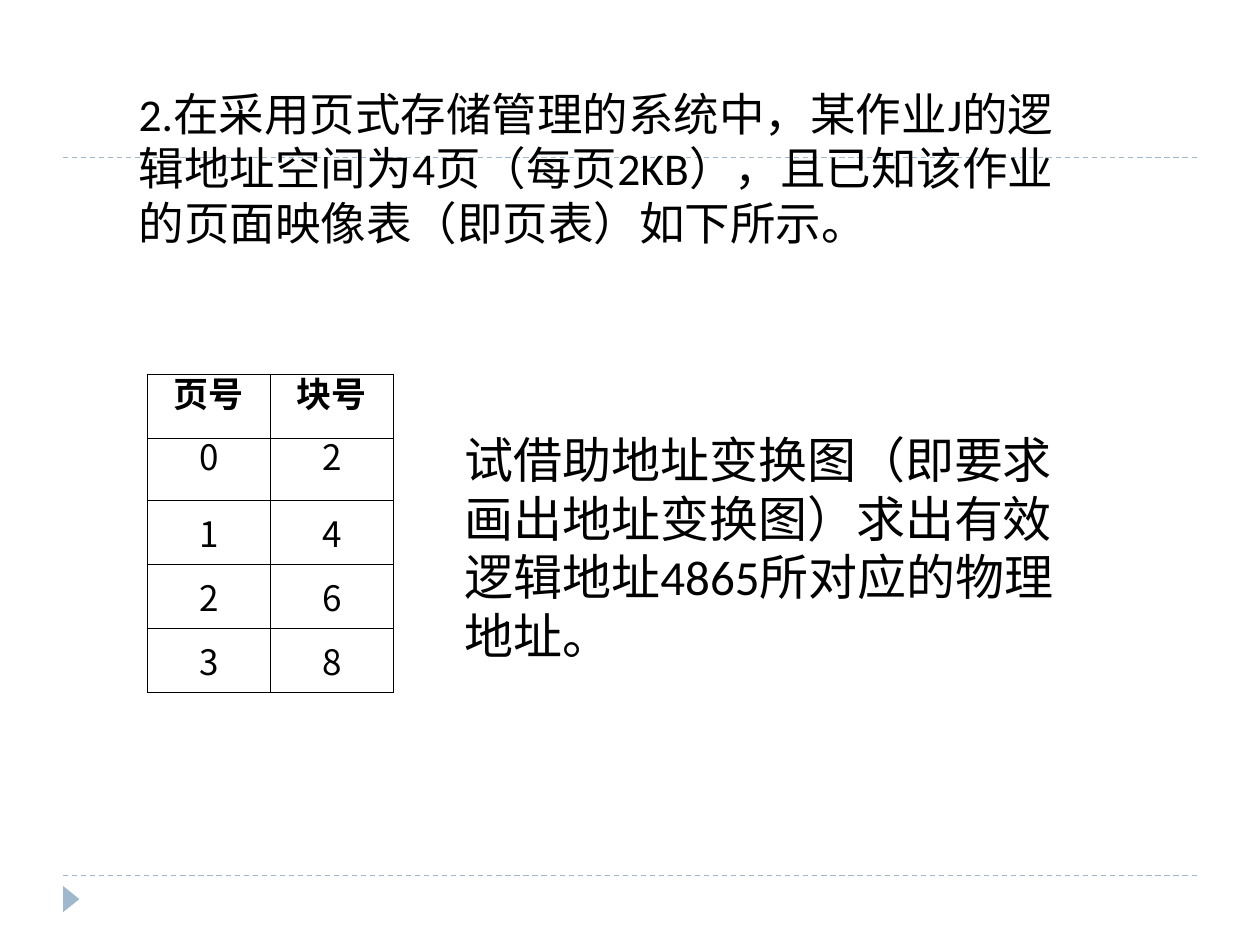
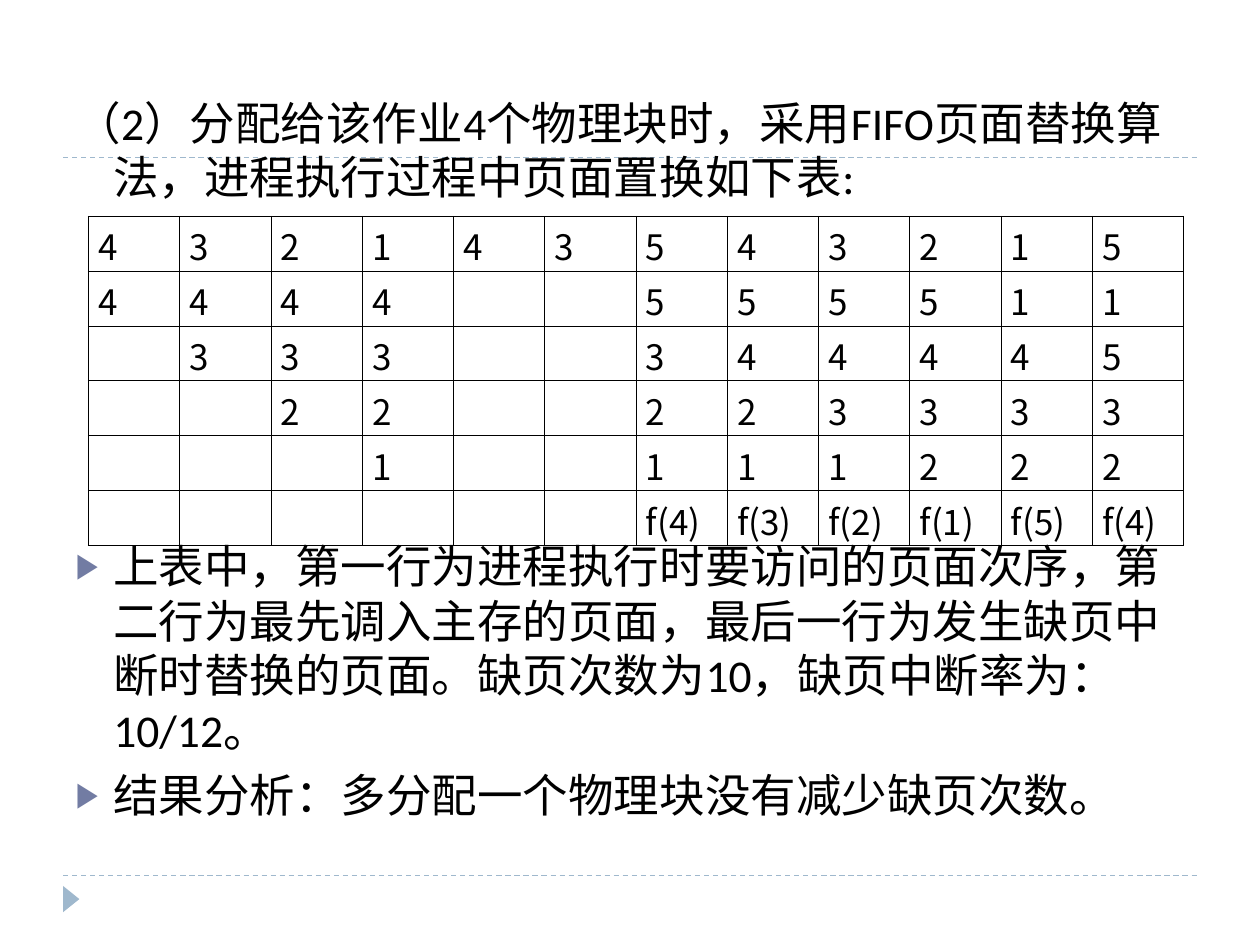
"""Build two slides on paged storage management and FIFO page replacement."""
from lxml.etree import SubElement
from pptx import Presentation
from pptx.dml.color import RGBColor
from pptx.enum.dml import MSO_LINE_DASH_STYLE as Dash
from pptx.enum.shapes import MSO_CONNECTOR as Connector, MSO_SHAPE as Shape
from pptx.enum.text import MSO_ANCHOR as Anchor, MSO_AUTO_SIZE as AutoSize, PP_ALIGN as Align
from pptx.oxml.ns import qn
from pptx.util import Cm, Pt

COLORS = {"text": "000000", "accent": "9FB8CD", "bullet": "727CA3", "paper": "FFFFFF"}
TEXT_FONT = "Calibri"
DIGIT_FONT = "Noto Sans CJK SC"
HANG = 0.76


def rgb(name):
    return RGBColor.from_string(COLORS[name])


def child(parent, tag, **attributes):
    return SubElement(parent, qn(tag), {key: str(value) for key, value in attributes.items()})


class Deck:
    """Hold the shared style and the current slide."""

    def __init__(self):
        self.deck = Presentation()
        self.deck.slide_width, self.deck.slide_height = Cm(25.4), Cm(19.05)
        self.slide = None

    def new_slide(self):
        self.slide = self.deck.slides.add_slide(self.deck.slide_layouts[1])
        background = self.slide.background.fill
        background.solid()
        background.fore_color.rgb = rgb("paper")
        title = self.slide.shapes.title.element
        title.getparent().remove(title)
        for y in (17.65, 3.18):
            self.rule(y)
        self.marker()

    def rule(self, y):
        rule = self.slide.shapes.add_connector(Connector.STRAIGHT, Cm(1.27), Cm(y), Cm(24.13), Cm(y))
        rule.line.color.rgb = rgb("accent")
        rule.line.width = Pt(0.75)
        rule.line.dash_style = Dash.DASH
        child(rule.element.spPr, "a:effectLst")

    def marker(self):
        marker = self.slide.shapes.add_shape(
            Shape.ISOSCELES_TRIANGLE, Cm(1.17), Cm(17.96), Cm(0.53), Cm(0.33))
        marker.rotation = 90
        marker.shadow.inherit = False
        marker.fill.solid()
        marker.fill.fore_color.rgb = rgb("accent")
        marker.line.fill.background()

    def run(self, paragraph, text, size, font=TEXT_FONT, bold=False):
        run = paragraph.add_run()
        run.text = text
        run.font.size, run.font.name, run.font.bold = Pt(size), font, bold
        run.font.color.rgb = rgb("text")
        child(run.font._element, "a:ea", typeface=font)

    def body(self, box, paragraphs):
        body = self.slide.placeholders[1]
        body.left, body.top, body.width, body.height = map(Cm, box)
        tree = body.element.getparent()
        tree.append(body.element)
        frame = body.text_frame
        frame.auto_size = AutoSize.NONE
        frame.vertical_anchor = Anchor.TOP
        for index, (text, indent, before, bulleted) in enumerate(paragraphs):
            paragraph = frame.add_paragraph() if index else frame.paragraphs[0]
            paragraph.space_before = Pt(before)
            properties = paragraph._p.get_or_add_pPr()
            properties.set("marL", str(Cm(HANG)))
            properties.set("indent", str(Cm(indent)))
            if bulleted:
                color = child(properties, "a:buClr")
                child(color, "a:srgbClr", val=COLORS["bullet"])
                child(properties, "a:buSzPct", val=76000)
                child(properties, "a:buChar", char="▶")
            else:
                child(properties, "a:buNone")
            self.run(paragraph, text, 26)

    def text(self, box, text, size):
        frame = self.slide.shapes.add_textbox(*map(Cm, box)).text_frame
        frame.word_wrap = True
        self.run(frame.paragraphs[0], text, size)

    def table(self, left, top, column_width, row_heights, rows, align, anchor,
              margins=(0.13, 0.13), header=False, tight_rows=0):
        columns = len(rows[0])
        table = self.slide.shapes.add_table(
            len(rows), columns, Cm(left), Cm(top),
            Cm(column_width * columns), Cm(sum(row_heights))).table
        table.first_row = table.horz_banding = False
        for column in table.columns:
            column.width = Cm(column_width)
        for r, (values, height) in enumerate(zip(rows, row_heights)):
            table.rows[r].height = Cm(height)
            for c, value in enumerate(values):
                cell = table.cell(r, c)
                self.borders(cell)
                cell.fill.background()
                cell.vertical_anchor = anchor
                cell.margin_left = cell.margin_right = Cm(0.2)
                cell.margin_top, cell.margin_bottom = map(Cm, margins)
                if not value:
                    continue
                paragraph = cell.text_frame.paragraphs[0]
                paragraph.alignment = align
                if r < tight_rows:
                    paragraph.line_spacing = Pt(13)
                heading = header and r == 0
                self.run(paragraph, value, 20, TEXT_FONT if heading else DIGIT_FONT, heading)

    def borders(self, cell):
        properties = cell._tc.get_or_add_tcPr()
        for side in "LRTB":
            line = child(properties, f"a:ln{side}", w=Pt(0.45))
            child(child(line, "a:solidFill"), "a:srgbClr", val=COLORS["text"])


def address_question(deck):
    deck.new_slide()
    deck.body((1.78, 1.6, 20.45, 3.96), [
        ("2.在采用页式存储管理的系统中，某作业J的逻辑地址空间为4页（每页2KB），"
         "且已知该作业的页面映像表（即页表）如下所示。", 0, 0, False)])
    page_table = [("页号", "块号"), ("0", "2"), ("1", "4"), ("2", "6"), ("3", "8")]
    deck.table(2.97, 7.54, 2.48, (1.29, 1.25, 1.29, 1.29, 1.29), page_table,
               Align.CENTER, Anchor.MIDDLE, header=True, tight_rows=2)
    deck.text((9.12, 8.53, 12.7, 5), "试借助地址变换图（即要求画出地址变换图）"
              "求出有效逻辑地址4865所对应的物理地址。", 28)


def fifo_answer(deck):
    deck.new_slide()
    deck.body((1.27, 1.78, 22.86, 15.24), [
        ("（2）分配给该作业4个物理块时，采用FIFO页面替换算法，"
         "进程执行过程中页面置换如下表:", -HANG, 0, False),
        ("上表中，第一行为进程执行时要访问的页面次序，第二行为最先调入主存的页面，"
         "最后一行为发生缺页中断时替换的页面。缺页次数为10，缺页中断率为：10/12。",
         -HANG, 191, True),
        ("结果分析：多分配一个物理块没有减少缺页次数。", -HANG, 6, True)])
    requests = "432143543215"
    blocks = ["4444  555511", " 333  344445", "  22  223333", "   1  111222"]
    replaced = [""] * 6 + [f"f({page})" for page in "432154"]
    rows = [[page.strip() for page in row] for row in (requests, *blocks)] + [replaced]
    deck.table(1.78, 4.36, 1.84, [1.1] * len(rows), rows,
               Align.JUSTIFY, Anchor.TOP, margins=(0.08, 0))


def main():
    deck = Deck()
    address_question(deck)
    fifo_answer(deck)
    deck.deck.save("out.pptx")


if __name__ == "__main__":
    main()
